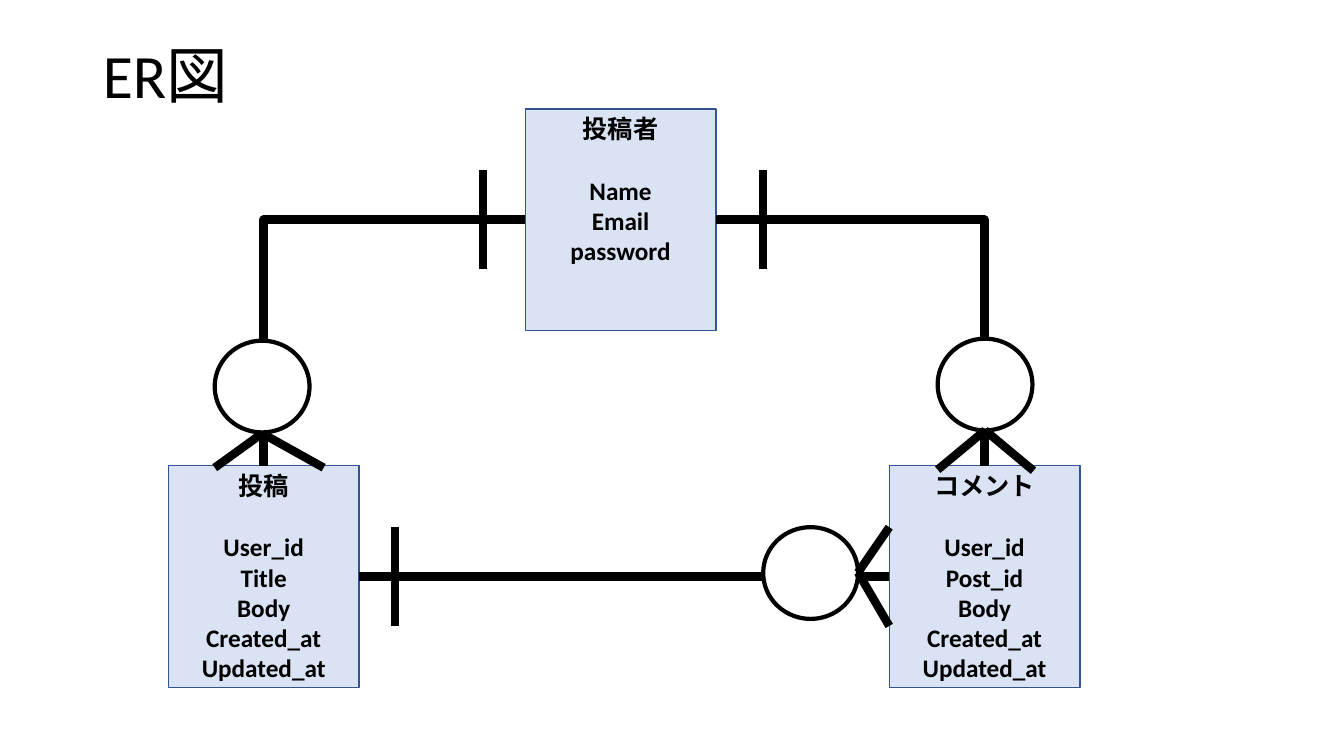
from pptx import Presentation
from pptx.dml.color import RGBColor
from pptx.enum.shapes import MSO_CONNECTOR, MSO_SHAPE
from pptx.enum.text import MSO_ANCHOR, PP_ALIGN
from pptx.oxml.ns import qn
from pptx.util import Inches, Pt
from lxml.etree import SubElement

BLACK = "000000"
BOX_WIDTH, BOX_HEIGHT = 1.89, 2.2
CIRCLE_WIDTH, CIRCLE_HEIGHT = 0.94, 0.91
BAR_HALF = 0.49
TOP, LEFT, RIGHT = 0, 1, 3


def color(hex_string):
    return RGBColor.from_string(hex_string)


def add_text(paragraph, text, size, bold=False):
    run = paragraph.add_run()
    run.text = text
    run.font.name = "Calibri"
    run.font.size = Pt(size)
    run.font.bold = bold
    run.font.color.rgb = color(BLACK)


def add_outlined(slide, kind, box, fill, line, width):
    shape = slide.shapes.add_shape(kind, *map(Inches, box))
    shape.shadow.inherit = False
    shape.fill.solid()
    shape.fill.fore_color.rgb = color(fill)
    shape.line.color.rgb = color(line)
    shape.line.width = Pt(width)
    return shape


def add_line(slide, start, end, kind=MSO_CONNECTOR.STRAIGHT):
    connector = slide.shapes.add_connector(kind, *map(Inches, (*start, *end)))
    connector.line.color.rgb = color(BLACK)
    connector.line.width = Pt(6)
    SubElement(connector._element.spPr, qn("a:effectLst"))
    return connector


def add_title(slide, left, top, width, height):
    title = slide.shapes.title
    title.left, title.top = Inches(left), Inches(top)
    title.width, title.height = Inches(width), Inches(height)
    title.text_frame.vertical_anchor = MSO_ANCHOR.TOP
    paragraph = title.text_frame.paragraphs[0]
    paragraph.alignment = PP_ALIGN.LEFT
    paragraph.line_spacing = 0.9
    add_text(paragraph, "ER図", 44)


def add_entity(slide, left, top, name, fields):
    box = (left, top, BOX_WIDTH, BOX_HEIGHT)
    entity = add_outlined(slide, MSO_SHAPE.RECTANGLE, box, "DAE3F3", "325491", 1)
    frame = entity.text_frame
    frame.word_wrap = True
    frame.vertical_anchor = MSO_ANCHOR.TOP
    for index, text in enumerate([name, *fields]):
        paragraph = frame.add_paragraph() if index else frame.paragraphs[0]
        paragraph.alignment = PP_ALIGN.CENTER
        add_text(paragraph, text, 18, bold=True)
    frame.paragraphs[0].space_after = Pt(22)
    return entity


def add_elbow(slide, parent, parent_site, child):
    connector = add_line(slide, (0, 0), (1, 1), MSO_CONNECTOR.ELBOW)
    connector.begin_connect(parent, parent_site)
    connector.end_connect(child, TOP)
    connector._element.spPr.find(qn("a:prstGeom")).set("prst", "bentConnector2")


def add_one_mark(slide, x, middle):
    add_line(slide, (x, middle - BAR_HALF), (x, middle + BAR_HALF))


def add_many_mark(slide, left, top, tip, toes):
    box = (left, top, CIRCLE_WIDTH, CIRCLE_HEIGHT)
    add_outlined(slide, MSO_SHAPE.OVAL, box, "FFFFFF", BLACK, 3)
    for toe in toes:
        add_line(slide, tip, toe)


presentation = Presentation()
presentation.slide_width, presentation.slide_height = Inches(13.33), Inches(7.5)
slide = presentation.slides.add_slide(presentation.slide_layouts[5])

add_title(slide, 0.92, 0.4, 11.5, 1.45)
author = add_entity(slide, 5.21, 1.08, "投稿者", ["Name", "Email", "password"])
post = add_entity(slide, 1.67, 4.62, "投稿",
                  ["User_id", "Title", "Body", "Created_at", "Updated_at"])
comment = add_entity(slide, 8.82, 4.62, "コメント",
                     ["User_id", "Post_id", "Body", "Created_at", "Updated_at"])

add_elbow(slide, author, LEFT, post)
add_elbow(slide, author, RIGHT, comment)
post_to_comment = add_line(slide, (8.82, 5.72), (3.56, 5.72))
post_to_comment.begin_connect(comment, LEFT)
post_to_comment.end_connect(post, RIGHT)

for x, middle in [(4.79, 2.18), (7.57, 2.18), (3.92, 5.72)]:
    add_one_mark(slide, x, middle)

add_many_mark(slide, 7.57, 5.23, (8.51, 5.68), [(8.82, 6.21), (8.82, 5.23)])
add_many_mark(slide, 2.13, 3.38, (2.6, 4.3), [(3.21, 4.64), (2.13, 4.64)])
add_many_mark(slide, 9.3, 3.36, (9.77, 4.27), [(10.25, 4.67), (9.3, 4.66)])

presentation.save("out.pptx")
